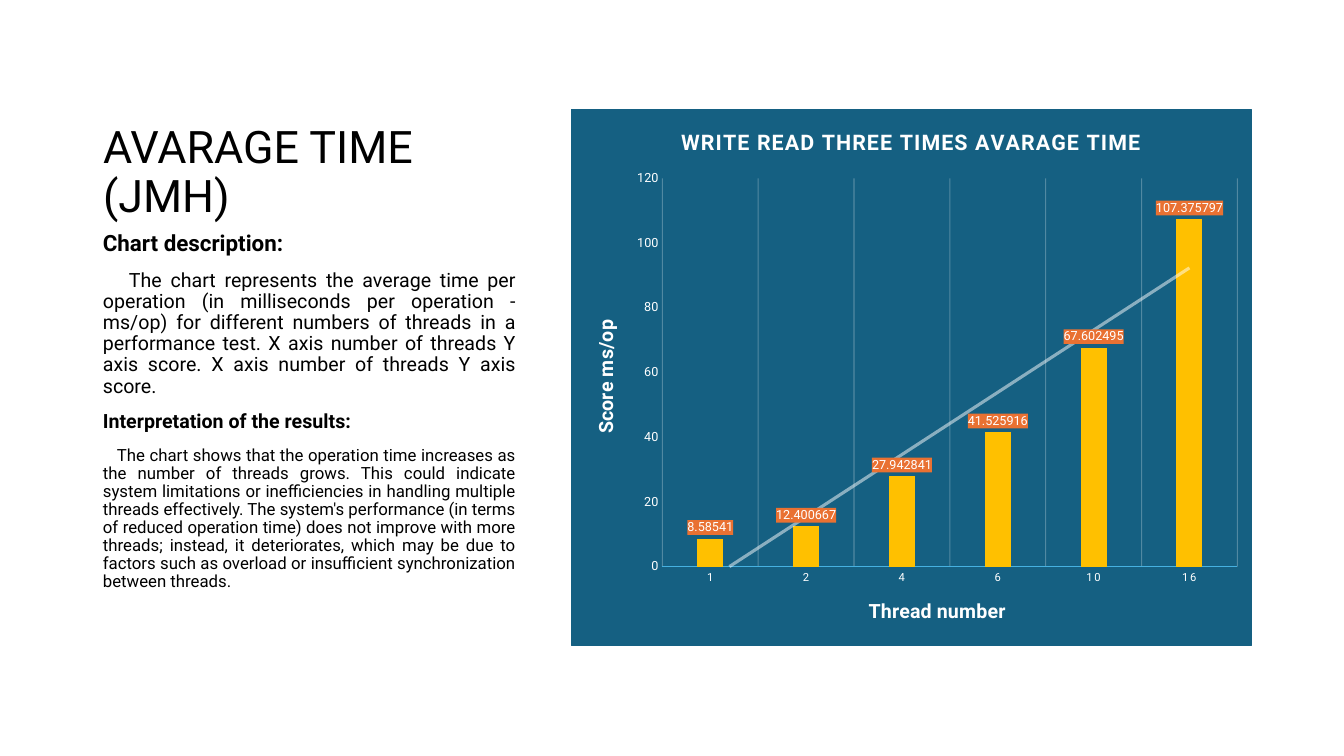
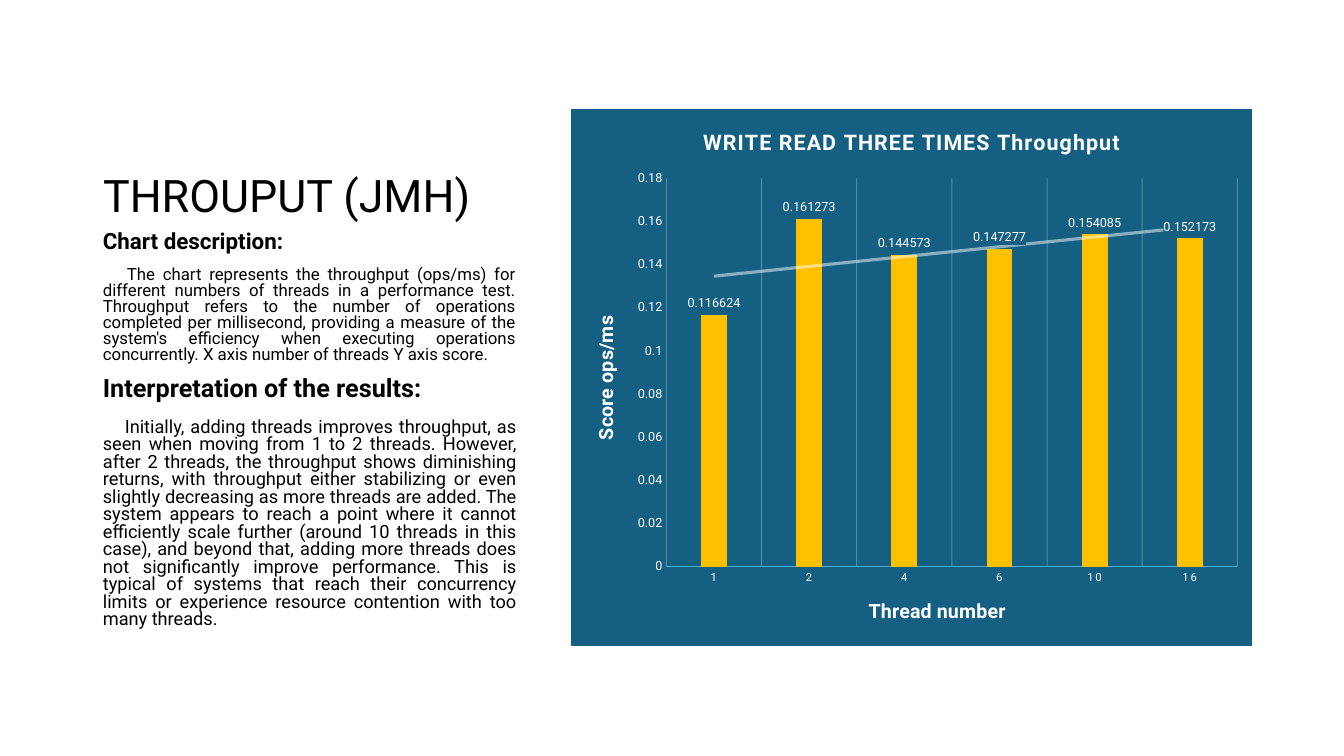
from dataclasses import dataclass

from lxml import etree
from pptx import Presentation
from pptx import util as u
from pptx.chart.data import CategoryChartData
from pptx.dml.color import RGBColor
from pptx.enum import chart as charts, text
from pptx.oxml import parse_xml
from pptx.oxml.ns import nsdecls, qn


@dataclass(frozen=True)
class Theme:
    font: str = "Roboto"
    ink: str = "000000"
    light: str = "FFFFFF"
    panel: str = "156082"
    bar: str = "FFC000"
    label: str = "E97132"
    axis: str = "46B1E1"
    title: int = 32
    chart_title: float = 15.3
    axis_title: int = 14
    value: int = 9
    category: int = 8


@dataclass(frozen=True)
class Box:
    left: int
    top: int
    width: int
    height: int

    def emu(self):
        return [px(n) for n in (self.left, self.top, self.width, self.height)]


THEME = Theme()
EMU_PER_PX = 914400 / 100.8
TITLE_BOX = Box(93, 50, 433, 177)
BODY_BOX = Box(93, 227, 433, 420)
CHART_BOX = Box(571, 109, 681, 537)
PLOT_TOP, PLOT_RIGHT, PLOT_BOTTOM = 69, 667, 458
THREADS = ("1", "2", "4", "6", "10", "16")

# Paragraphs are (text, size, first-line indent in px, space before in points);
# no indent marks a heading
SLIDES = [
    dict(
        title="AVARAGE TIME (JMH)",
        line_spacing=0.9,
        paragraphs=[
            ("Chart description:", 16, 0, 10),
            ("The chart represents the average time per operation (in milliseconds per "
             "operation - ms/op) for different numbers of threads in a performance test. "
             "X axis number of threads Y axis score. X axis number of threads Y axis score.",
             14, 26, 10),
            ("Interpretation of the results:", 14, 0, 10),
            ("The chart shows that the operation time increases as the number of threads "
             "grows. This could indicate system limitations or inefficiencies in handling "
             "multiple threads effectively. The system's performance (in terms of reduced "
             "operation time) does not improve with more threads; instead, it deteriorates, "
             "which may be due to factors such as overload or insufficient synchronization "
             "between threads.", 12, 14, 10),
        ],
        chart=dict(
            title=("WRITE READ THREE TIMES AVARAGE TIME", 106, 15),
            value_title=("Score ms/op", 17, 207),
            series_values=[
                (),
                (8.58541, 12.400667, 27.942841, 41.525916, 67.602495, 107.375797),
            ],
            top_value=120, step=20, plot_left=91, label_fill=THEME.label,
        ),
    ),
    dict(
        title="THROUPUT (JMH)",
        line_spacing=0.8,
        paragraphs=[
            ("Chart description:", 16, 0, 10),
            ("The chart represents the throughput (ops/ms) for different numbers of threads "
             "in a performance test. Throughput refers to the number of operations completed "
             "per millisecond, providing a measure of the system's efficiency when executing "
             "operations concurrently. X axis number of threads Y axis score.", 12, 24, 10),
            ("Interpretation of the results:", 18, 0, 10),
            ("Initially, adding threads improves throughput, as seen when moving from 1 to 2 "
             "threads. However, after 2 threads, the throughput shows diminishing returns, "
             "with throughput either stabilizing or even slightly decreasing as more threads "
             "are added. The system appears to reach a point where it cannot efficiently "
             "scale further (around 10 threads in this case), and beyond that, adding more "
             "threads does not significantly improve performance. This is typical of systems "
             "that reach their concurrency limits or experience resource contention with too "
             "many threads.", 13, 22, 12),
        ],
        chart=dict(
            title=("WRITE READ THREE TIMES Throughput", 128, 15),
            value_title=("Score ops/ms", 17, 203),
            series_values=[(0.116624, 0.161273, 0.144573, 0.147277, 0.154085, 0.152173)],
            top_value=0.18, step=0.02, plot_left=95, label_fill=THEME.panel,
        ),
    ),
]


def px(length):
    return u.Emu(round(length * EMU_PER_PX))


def style_font(font, size, color, bold=False):
    font.name = THEME.font
    font.size = u.Pt(size)
    font.bold = bold
    font.color.rgb = RGBColor.from_string(color)


def fill_xml(color, alpha=100):
    return (f'<a:solidFill><a:srgbClr val="{color}">'
            f'<a:alpha val="{alpha * 1000}"/></a:srgbClr></a:solidFill>')


def line_xml(color, width, alpha=100):
    return f'<a:ln w="{u.Pt(width)}">{fill_xml(color, alpha)}</a:ln>'


def shape_properties(content):
    return parse_xml(f'<c:spPr {nsdecls("c", "a")}>{content}</c:spPr>')


def set_letter_spacing(element, spacing):
    for properties in element.iter(qn("a:defRPr")):
        properties.set("spc", str(spacing))


def set_layout(parent, chart_box, left, top, width=None, height=None):
    """Place a chart part by px measured from the chart's corner."""
    layout = parent.find(qn("c:layout"))
    if layout is None:
        layout = etree.Element(qn("c:layout"))
        parent.insert(0, layout)
    manual = etree.SubElement(layout, qn("c:manualLayout"))
    settings = [("xMode", "edge"), ("yMode", "edge"),
                ("x", left / chart_box.width), ("y", top / chart_box.height)]
    if width:
        settings.insert(0, ("layoutTarget", "inner"))
        settings += [("w", width / chart_box.width), ("h", height / chart_box.height)]
    for name, value in settings:
        etree.SubElement(manual, qn(f"c:{name}")).set("val", str(value))


def add_title(slide, box, wording):
    title = slide.shapes.title
    title.left, title.top, title.width, title.height = box.emu()
    frame = title.text_frame
    frame.text = wording
    frame.auto_size = text.MSO_AUTO_SIZE.NONE
    frame.vertical_anchor = text.MSO_ANCHOR.BOTTOM
    paragraph = frame.paragraphs[0]
    paragraph.alignment = text.PP_ALIGN.LEFT
    paragraph.line_spacing = 0.9
    style_font(paragraph.font, THEME.title, THEME.ink)


def add_body(slide, box, paragraphs, line_spacing):
    frame = slide.shapes.add_textbox(*box.emu()).text_frame
    frame.word_wrap = True
    for index, (wording, size, indent, space_before) in enumerate(paragraphs):
        paragraph = frame.add_paragraph() if index else frame.paragraphs[0]
        paragraph.text = wording
        paragraph.line_spacing = line_spacing
        paragraph.space_before = u.Pt(space_before)
        paragraph.alignment = text.PP_ALIGN.JUSTIFY if indent else text.PP_ALIGN.LEFT
        paragraph._p.get_or_add_pPr().set("indent", str(px(indent)))
        style_font(paragraph.font, size, THEME.ink, bold=not indent)


def add_chart_title(owner, title, chart_box, size, spacing=0):
    """Title a chart or one of its axes."""
    wording, left, top = title
    heading = owner.chart_title if hasattr(owner, "chart_title") else owner.axis_title
    heading.text_frame.text = wording
    style_font(heading.text_frame.paragraphs[0].font, size, THEME.light, bold=True)
    set_letter_spacing(heading._element, spacing)
    set_layout(heading._element, chart_box, left, top)


def style_axes(chart, box, value_title, top_value, step):
    category, value = chart.category_axis, chart.value_axis
    for axis, size in ((category, THEME.category), (value, THEME.value)):
        axis.major_tick_mark = axis.minor_tick_mark = charts.XL_TICK_MARK.NONE
        style_font(axis.tick_labels.font, size, THEME.light)
    add_chart_title(category, ("Thread number", 294, 485), box, THEME.axis_title)
    add_chart_title(value, value_title, box, THEME.axis_title)
    set_letter_spacing(category._element.find(qn("c:txPr")), 120)

    category.format.line.color.rgb = RGBColor.from_string(THEME.axis)
    category.format.line.width = u.Pt(0.25)
    category.has_major_gridlines = True
    gridlines = category._element.find(qn("c:majorGridlines"))
    gridlines.append(shape_properties(line_xml(THEME.light, 0.75, 25)))

    value.has_major_gridlines = False
    value.format.line.fill.background()
    value.minimum_scale, value.maximum_scale, value.major_unit = 0, top_value, step


def style_series(series, label_fill):
    series.format.fill.solid()
    series.format.fill.fore_color.rgb = RGBColor.from_string(THEME.bar)
    labels = series.data_labels
    labels.show_value = True
    labels.position = charts.XL_LABEL_POSITION.OUTSIDE_END
    style_font(labels.font, THEME.value, THEME.light)
    labels._element.find(qn("c:txPr")).addprevious(shape_properties(fill_xml(label_fill)))
    trendline = parse_xml(
        f'<c:trendline {nsdecls("c", "a")}>'
        f'<c:spPr>{line_xml(THEME.light, 2.25, 50)}</c:spPr><c:trendlineType val="linear"/>'
        '<c:dispRSqr val="0"/><c:dispEq val="0"/></c:trendline>')
    series._element.find(qn("c:cat")).addprevious(trendline)


def add_chart_panel(slide, box, title, value_title, series_values, top_value, step,
                    plot_left, label_fill):
    data = CategoryChartData()
    data.categories = THREADS
    for number, values in enumerate(series_values, start=1):
        data.add_series(f"Series {number}", values)
    chart = slide.shapes.add_chart(
        charts.XL_CHART_TYPE.COLUMN_CLUSTERED, *box.emu(), data).chart
    chart.has_legend = False
    style_font(chart.font, 10, THEME.light)
    plot = chart.plots[0]
    plot.vary_by_categories = False
    plot.gap_width, plot.overlap = 269, -20

    # Panel background and inner plot
    chart_element = chart._chartSpace.find(qn("c:chart"))
    chart_element.addnext(
        shape_properties(fill_xml(THEME.panel) + line_xml(THEME.panel, 0.75)))
    set_layout(chart_element.find(qn("c:plotArea")), box, plot_left, PLOT_TOP,
               PLOT_RIGHT - plot_left, PLOT_BOTTOM - PLOT_TOP)

    # Titles, axes and bars; a series without values takes no room
    add_chart_title(chart, title, box, THEME.chart_title, spacing=96)
    style_axes(chart, box, value_title, top_value, step)
    for series, values in zip(plot.series, series_values):
        if values:
            style_series(series, label_fill)
        else:
            series._element.remove(series._element.find(qn("c:val")))


def add_result_slide(presentation, title, line_spacing, paragraphs, chart):
    slide = presentation.slides.add_slide(presentation.slide_layouts[5])
    add_title(slide, TITLE_BOX, title)
    add_chart_panel(slide, CHART_BOX, **chart)
    add_body(slide, BODY_BOX, paragraphs, line_spacing)


def main():
    presentation = Presentation()
    presentation.slide_width, presentation.slide_height = px(1344), px(756)
    for content in SLIDES:
        add_result_slide(presentation, **content)
    presentation.save("out.pptx")


if __name__ == "__main__":
    main()
